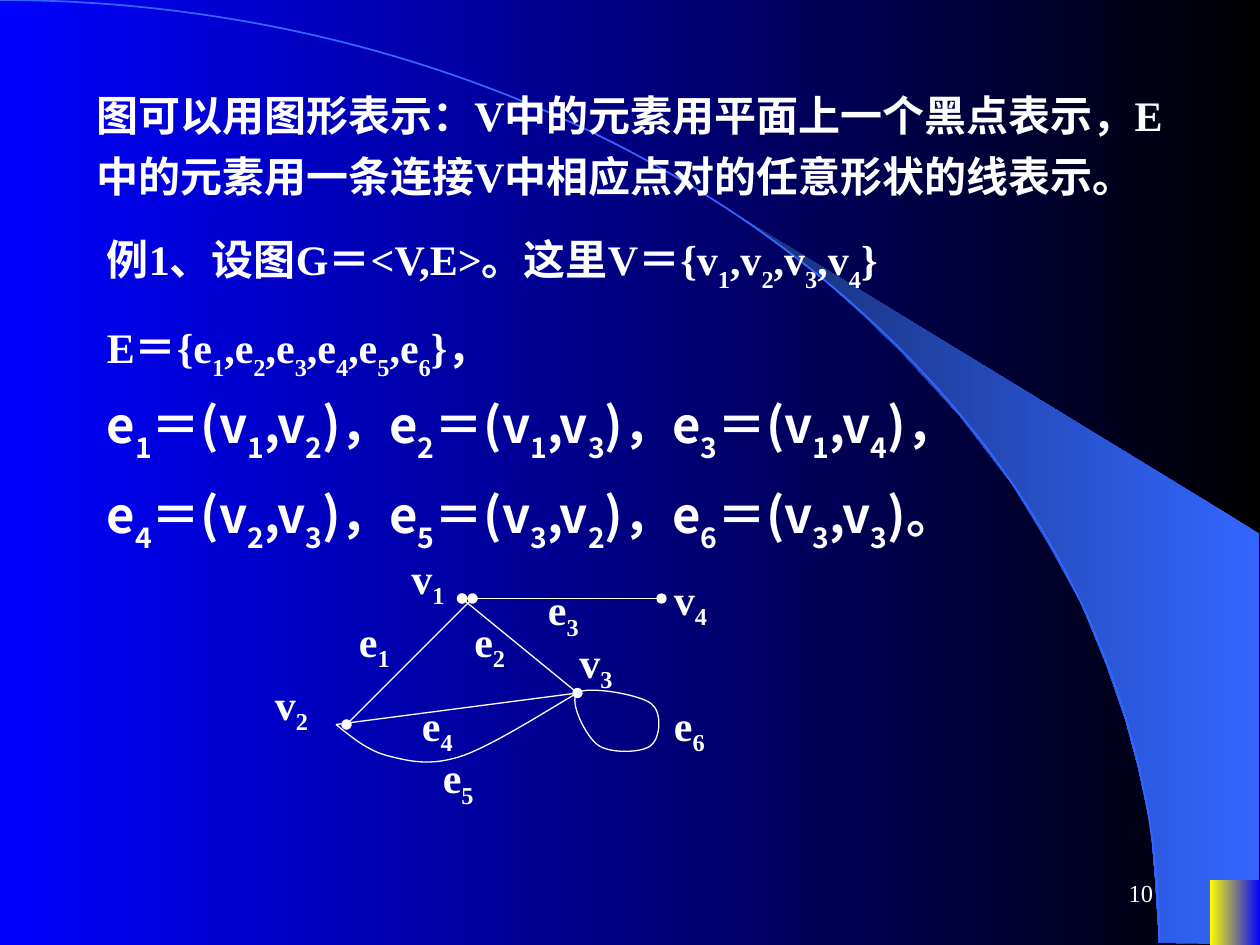
from dataclasses import dataclass

from lxml.etree import SubElement
from pptx import Presentation
from pptx.dml.color import RGBColor
from pptx.enum.shapes import MSO_CONNECTOR as Connector, MSO_SHAPE as Shape
from pptx.enum.text import MSO_ANCHOR as Anchor, PP_ALIGN as Align
from pptx.oxml.ns import qn
from pptx.util import Pt

PX = 914400 // 120


@dataclass(frozen=True)
class Theme:
    """Colours, fonts and type sizes of the slide."""
    white: str = "FFFFFF"
    black: str = "000000"
    blue: str = "0000FF"
    yellow: str = "FFFF00"
    arc: str = "3366FF"
    wedge: str = "172F75"
    serif: str = "Times New Roman"
    sans: str = "Noto Sans CJK SC"
    body: int = 24
    formula: int = 28
    number: int = 14


THEME = Theme()


def emu(px):
    """Turn px into EMU."""
    return px * PX


def rgb(code):
    """Turn a hex code into a colour."""
    return RGBColor.from_string(code)


def gradient(fill, right, left):
    """Fill with a gradient that runs from right to left."""
    fill.gradient()
    fill.gradient_angle = 180
    for stop, color in zip(fill.gradient_stops, (right, left)):
        stop.color.rgb = rgb(color)


def outline(s, color, width):
    """Give a shape or connector a solid line."""
    s.line.color.rgb = rgb(color)
    s.line.width = Pt(width)


def freeform(slide, points, x=0, y=0, close=False):
    """Draw an unfilled outline through points offset by x, y."""
    first, *rest = [(x + px, y + py) for px, py in points]
    builder = slide.shapes.build_freeform(*first, scale=PX)
    builder.add_line_segments(rest, close=close)
    s = builder.convert_to_shape()
    s.shadow.inherit = False
    s.fill.background()
    return s


def curve(slide, points, x, y, close):
    """Draw cubic curves, with two control points before each end point."""
    s = freeform(slide, points, x, y, close)
    steps = list(s._element.iter(qn("a:lnTo")))
    for i in range(0, len(points) - 1, 3):
        steps[i].tag = qn("a:cubicBezTo")
        for step in steps[i + 1:i + 3]:
            steps[i].append(step[0])
            step.getparent().remove(step)
    outline(s, THEME.white, 0.75)


def write(p, text, size, font, bold=True, drop=-30):
    """Write text in which an underscore lowers the next character."""
    first, *rest = text.split("_")
    parts = [(first, 0)]
    for piece in rest:
        parts += [(piece[0], drop), (piece[1:], 0)]
    for part, base in parts:
        if not part:
            continue
        r = p.add_run()
        r.text = part
        r.font.size, r.font.bold, r.font.name = Pt(size), bold, font
        r.font.color.rgb = rgb(THEME.white)
        props = r.font._element
        if base:
            props.set("baseline", str(base * 1000))
        props.find(qn("a:latin")).addnext(
            SubElement(props, qn("a:ea"), typeface=THEME.sans))


def text_box(slide, box, lines, size=THEME.body, font=THEME.serif, bold=True,
             drop=-30, spacing=None, before=0, hang=0, align=None):
    """Place paragraphs in a wrapping text box."""
    tf = slide.shapes.add_textbox(*map(emu, box)).text_frame
    tf.word_wrap = True
    for i, line in enumerate(lines):
        p = tf.add_paragraph() if i else tf.paragraphs[0]
        p.alignment, p.line_spacing = align, spacing
        if i and before:
            p.space_before = Pt(before)
        if hang:
            props = p._p.get_or_add_pPr()
            props.set("marL", str(emu(hang)))
            props.set("indent", str(-emu(hang)))
        write(p, line, size, font, bold, drop)
    return tf


def backdrop(slide, width, height):
    """Draw the gradient, the wedge, the arc and the corner block."""
    gradient(slide.background.fill, THEME.black, THEME.blue)
    wedge = freeform(slide, [
        (1104, height - 2), (width - 1, height - 1), (width - 1, 508),
        (707, 208), (749, 239), (784, 266), (822, 300), (859, 336),
        (914, 396), (964, 461), (998, 517), (1030, 575), (1054, 634),
        (1072, 686), (1084, 731), (1096, 787), (1100, 835),
    ], close=True)
    gradient(wedge.fill, THEME.arc, THEME.wedge)
    wedge.line.fill.background()
    arc = slide.shapes.add_shape(
        Shape.ARC, *map(emu, (-1104, 0, 2208, 1796)))
    arc.shadow.inherit = False
    arc.fill.background()
    outline(arc, THEME.arc, 1)
    block = slide.shapes.add_shape(
        Shape.RECTANGLE, *map(emu, (width - 48, height - 62, 48, 62)))
    block.shadow.inherit = False
    gradient(block.fill, THEME.blue, THEME.yellow)
    block.line.fill.background()


def edge_line(slide, start, end, dots):
    """Draw a straight edge, with a dot at each end if wanted."""
    s = slide.shapes.add_connector(
        Connector.STRAIGHT, *map(emu, (*start, *end)))
    outline(s, THEME.white, 0.75)
    if dots:
        for tag in ("a:headEnd", "a:tailEnd"):
            SubElement(s.line._get_or_add_ln(), qn(tag), type="oval")
    SubElement(s._element.spPr, qn("a:effectLst"))


def graph(slide, x, y):
    """Draw the example graph from its top left corner."""
    v1, v1_right, v2, v2_left = (190, 50), (200, 50), (80, 170), (70, 170)
    v3, v4 = (300, 140), (380, 50)
    for a, b, dots in ((v1_right, v2, True), (v1, v3, True),
                       (v1, v4, True), (v2_left, v3, False)):
        edge_line(slide, (x + a[0], y + a[1]), (x + b[0], y + b[1]), dots)
    curve(slide, [v2_left, (85, 182), (100, 195), (120, 200),
                  (140, 205), (160, 210), (190, 200),
                  (220, 190), (282, 150), v3], x, y, False)
    curve(slide, [v3, (308, 133), (358, 141), (370, 150),
                  (381, 158), (379, 183), (370, 190),
                  (362, 197), (332, 198), (320, 190),
                  (308, 182), (291, 147), v3], x, y, True)
    labels = {
        "v_1": (130, 0), "v_2": (0, 120), "v_3": (290, 80), "v_4": (380, 20),
        "e_1": (80, 60), "e_2": (190, 60), "e_3": (260, 30),
        "e_4": (140, 140), "e_5": (160, 190), "e_6": (380, 140),
    }
    for name, (dx, dy) in labels.items():
        width = 92 if name.startswith("v") else 72
        text_box(slide, (x + dx, y + dy, width, 67), [name], drop=-25)


def statements(slide, x, y):
    """Place the definition, the example and the edge list."""
    text_box(slide, (x, y, 1080, 127), [
        "图可以用图形表示：V中的元素用平面上一个黑点表示，E",
        "中的元素用一条连接V中相应点对的任意形状的线表示。",
    ], spacing=1.2, hang=60)
    text_box(slide, (x + 10, y + 130, 1110, 169), [
        "例1、设图G＝<V,E>。这里V＝{v_1,v_2,v_3,v_4}",
        "E＝{e_1,e_2,e_3,e_4,e_5,e_6}，",
    ], spacing=1.3, before=6, hang=45)
    text_box(slide, (x + 10, y + 280, 1020, 184), [
        "e_1＝(v_1,v_2)，e_2＝(v_1,v_3)，e_3＝(v_1,v_4)，",
        "e_4＝(v_2,v_3)，e_5＝(v_3,v_2)，e_6＝(v_3,v_3)。",
    ], THEME.formula, THEME.sans, spacing=1.3, hang=45, align=Align.JUSTIFY)


def main():
    """Build the slide and save it."""
    width, height = 1200, 900
    prs = Presentation()
    prs.slide_width, prs.slide_height = emu(width), emu(height)
    slide = prs.slides.add_slide(prs.slide_layouts[6])
    backdrop(slide, width, height)
    statements(slide, 80, 70)
    graph(slide, 250, 520)
    tf = text_box(slide, (860, 820, 250, 60), ["10"], THEME.number,
                  bold=False, align=Align.RIGHT)
    tf.vertical_anchor = Anchor.MIDDLE
    prs.save("out.pptx")


if __name__ == "__main__":
    main()
